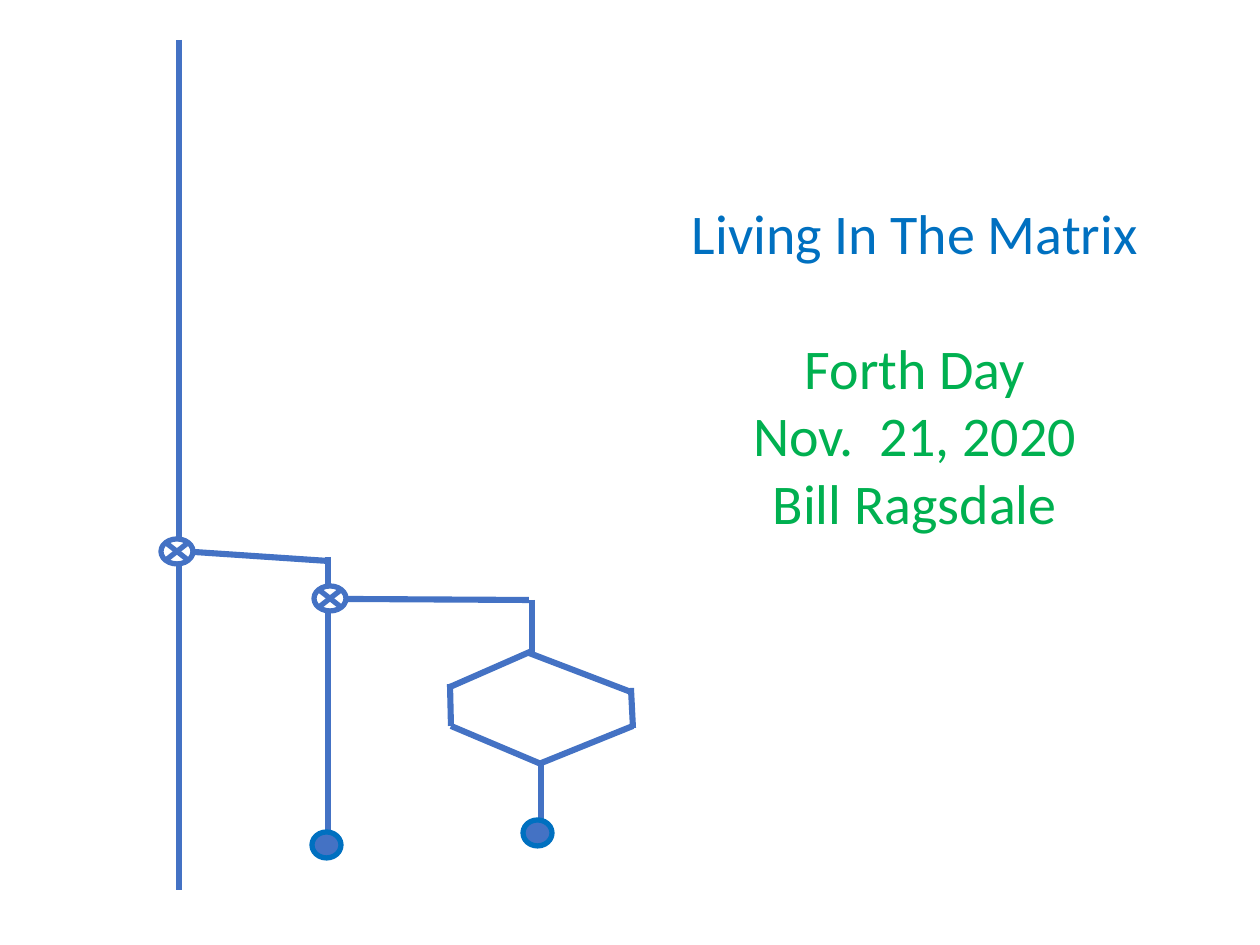
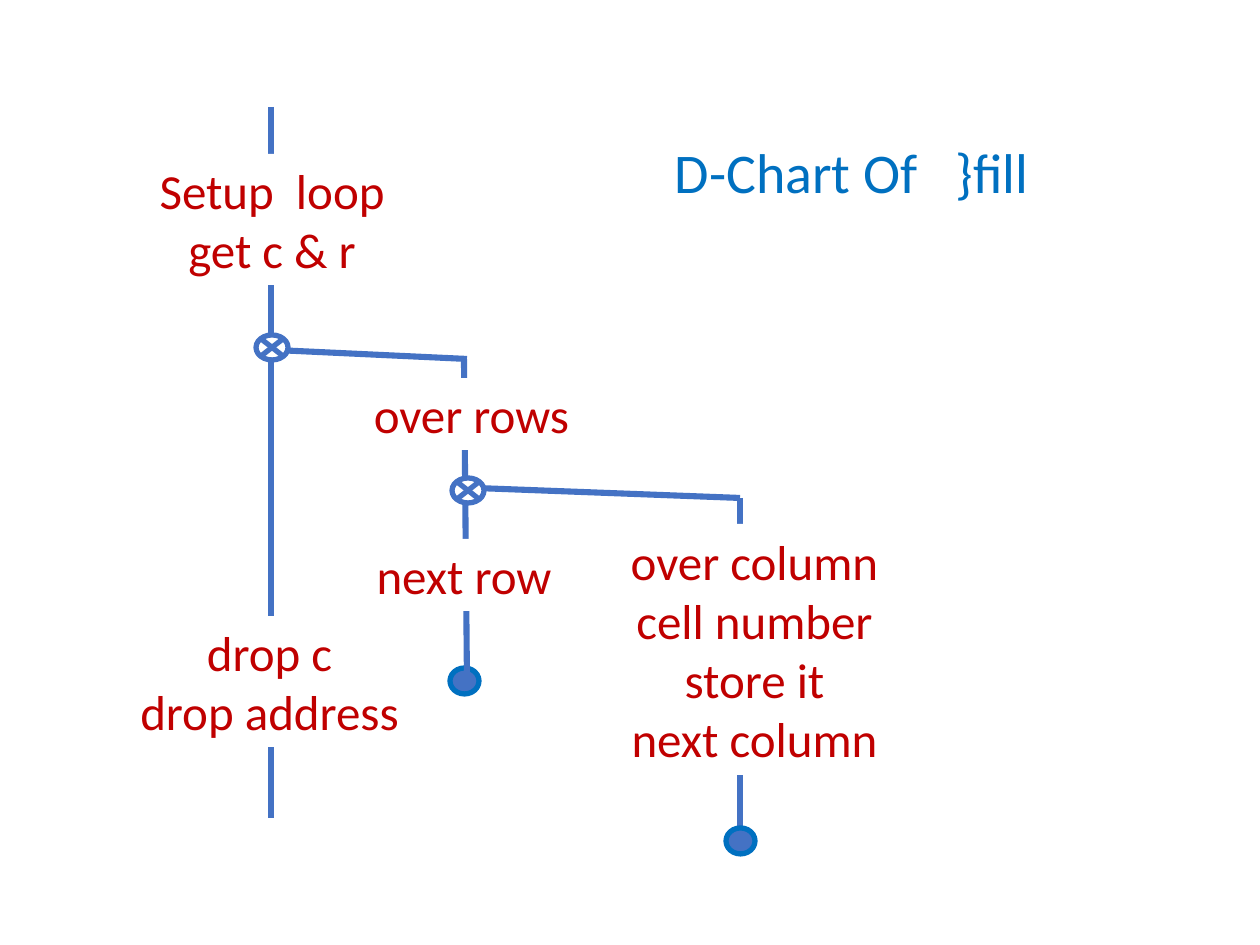
"""Build a two-slide deck of D-chart flow diagrams: a cover and the }fill chart."""
from dataclasses import dataclass

from lxml import etree
from pptx import Presentation
from pptx import util as u
from pptx.dml.color import RGBColor
from pptx.enum import shapes, text
from pptx.oxml import ns


@dataclass(frozen=True)
class Theme:
    font: str = "Calibri"
    wire: str = "4472C4"
    title: str = "0070C0"
    byline: str = "00B050"
    label: str = "C00000"
    paper: str = "FFFFFF"
    title_size: int = 32
    label_size: int = 28
    wire_width: float = 3.5
    node_width: float = 3


theme = Theme()
PIXEL = u.Inches(1) // 126

NODES = {
    "junction": (shapes.MSO_SHAPE.FLOWCHART_SUMMING_JUNCTION, 32, 25, theme.paper, theme.wire),
    "dot": (shapes.MSO_SHAPE.OVAL, 29, 26, theme.wire, theme.title),
}


def write(box, lines, size, colour, first=True):
    """Write centred lines into a box, continuing after earlier lines when first is False."""
    frame = box.text_frame
    frame.word_wrap = True
    for line in lines:
        para = frame.paragraphs[0] if first else frame.add_paragraph()
        first = False
        para.alignment = text.PP_ALIGN.CENTER
        span = para.add_run()
        span.text = line
        span.font.name = theme.font
        span.font.size = u.Pt(size)
        span.font.color.rgb = RGBColor.from_string(colour)


def draw(page, parts):
    """Draw wires, nodes and labels from back to front."""
    for kind, *place in parts:
        if kind == "wire":
            ends = [PIXEL * value for value in place]
            wire = page.shapes.add_connector(shapes.MSO_CONNECTOR.STRAIGHT, *ends)
            wire.line.color.rgb = RGBColor.from_string(theme.wire)
            wire.line.width = u.Pt(theme.wire_width)
            etree.SubElement(wire._element.spPr, ns.qn("a:effectLst"))
            continue
        if kind == "label":
            *area, lines = place
            outline, fill, edge = shapes.MSO_SHAPE.RECTANGLE, theme.paper, None
        else:
            outline, width, height, fill, edge = NODES[kind]
            area, lines = [*place, width, height], []
        shape = page.shapes.add_shape(outline, *[PIXEL * value for value in area])
        shape.shadow.inherit = False
        shape.fill.solid()
        shape.fill.fore_color.rgb = RGBColor.from_string(fill)
        if edge:
            shape.line.color.rgb = RGBColor.from_string(edge)
            shape.line.width = u.Pt(theme.node_width)
        else:
            shape.line.fill.background()
        write(shape, lines, theme.label_size, theme.label)


deck = Presentation()
deck.slide_width, deck.slide_height = u.Inches(10), u.Inches(7.5)
blank = deck.slide_layouts[6]

cover = deck.slides.add_slide(blank)
draw(cover, [
    ("wire", 631, 692, 529, 653),
    ("wire", 532, 600, 532, 654),
    ("wire", 450, 687, 532, 651),
    ("wire", 539, 764, 633, 726),
    ("wire", 541, 764, 451, 726),
    ("wire", 541, 764, 541, 834),
    ("wire", 328, 561, 194, 552),
    ("wire", 179, 40, 179, 890),
    ("wire", 328, 557, 328, 834),
    ("junction", 161, 539),
    ("wire", 529, 600, 345, 599),
    ("junction", 314, 586),
    ("dot", 523, 820),
    ("wire", 451, 726, 450, 684),
    ("dot", 312, 832),
    ("wire", 633, 728, 631, 688),
])
heading = cover.shapes.add_textbox(*[PIXEL * value for value in (639, 192, 552, 352)])
write(heading, ["Living In The Matrix"], theme.title_size, theme.title)
write(heading, ["Forth Day", "Nov.  21, 2020", "Bill Ragsdale"],
      theme.title_size, theme.byline, first=False)
heading.text_frame.paragraphs[1].space_before = u.Pt(39)

chart = deck.slides.add_slide(blank)
draw(chart, [
    ("wire", 740, 498, 740, 840),
    ("wire", 467, 359, 275, 350),
    ("wire", 271, 107, 271, 818),
    ("label", 130, 154, 284, 131, ["Setup  loop", "get c & r"]),
    ("dot", 450, 668),
    ("wire", 464, 359, 467, 677),
    ("junction", 256, 335),
    ("label", 333, 539, 262, 72, ["next row"]),
    ("wire", 740, 498, 476, 488),
    ("junction", 452, 478),
    ("label", 314, 378, 315, 72, ["over rows"]),
    ("dot", 726, 828),
    ("label", 592, 524, 325, 251, ["over column", "cell number", "store it", "next column"]),
    ("label", 107, 616, 325, 131, ["drop c", "drop address"]),
])
heading = chart.shapes.add_textbox(*[PIXEL * value for value in (598, 131, 508, 81)])
write(heading, ["D-Chart Of   }fill"], theme.title_size, theme.title)

deck.save("out.pptx")
